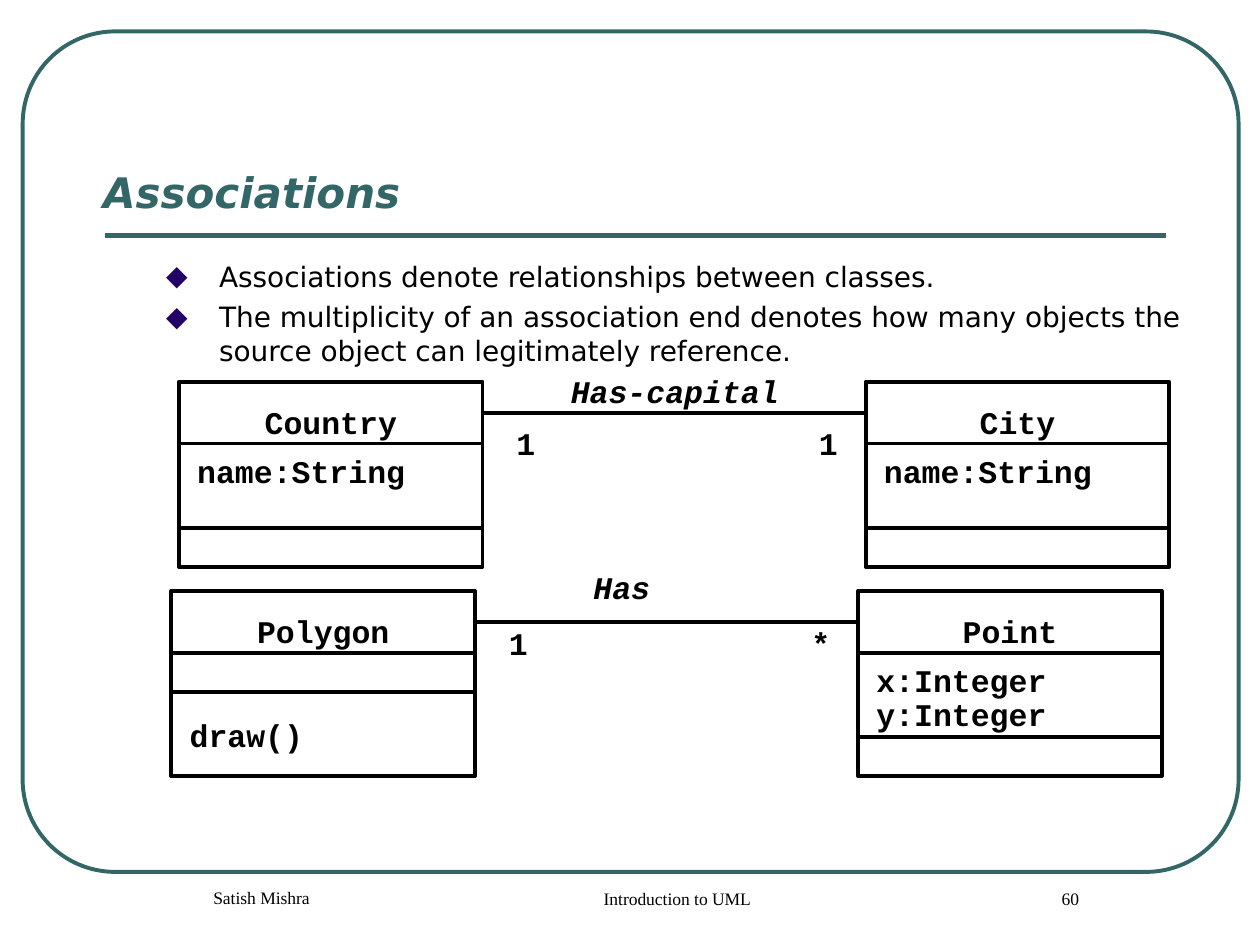
import pptx
import pptx.dml.color
import pptx.enum.shapes
import pptx.enum.text
import pptx.oxml.ns
import pptx.util
import lxml.etree

Align = pptx.enum.text.PP_ALIGN
Anchor = pptx.enum.text.MSO_ANCHOR
Shape = pptx.enum.shapes.MSO_SHAPE
Straight = pptx.enum.shapes.MSO_CONNECTOR.STRAIGHT
TEAL, BLACK, PURPLE = "336666", "000000", "220066"
SANS, MONO, SERIF = "DejaVu Sans", "Courier New", "Times New Roman"
color = pptx.dml.color.RGBColor.from_string

deck = pptx.Presentation()
deck.slide_width = pptx.util.Inches(10)
deck.slide_height = pptx.util.Inches(7.5)
page = deck.slides.add_slide(deck.slide_layouts[6])

# Grid of 100 columns by 75 rows
COLUMN = deck.slide_width // 100
ROW = deck.slide_height // 75


def write(left, top, width, height, lines, size=18, font=MONO, ink=BLACK, bold=True,
          italic=False, align=Align.LEFT, anchor=Anchor.TOP, inset=True, wrap=False):
    box = page.shapes.add_textbox(*[int(n) for n in (
        left * COLUMN, top * ROW, width * COLUMN, height * ROW)])
    frame = box.text_frame
    frame.word_wrap = wrap
    frame.vertical_anchor = anchor
    frame.margin_left = frame.margin_right = COLUMN if inset else 0
    frame.margin_top = frame.margin_bottom = ROW // 2 if inset else 0
    for index, line in enumerate(lines):
        para = frame.paragraphs[0] if index == 0 else frame.add_paragraph()
        para.alignment = align
        span = para.add_run()
        span.text = line
        span.font.size = pptx.util.Pt(size)
        span.font.name = font
        span.font.bold = bold
        span.font.italic = italic
        span.font.color.rgb = color(ink)
    return frame.paragraphs


def connect(x1, y1, x2, y2, ink=BLACK, weight=2.25):
    line = page.shapes.add_connector(Straight, *[int(n) for n in (
        x1 * COLUMN, y1 * ROW, x2 * COLUMN, y2 * ROW)])
    line.line.color.rgb = color(ink)
    line.line.width = pptx.util.Pt(weight)
    lxml.etree.SubElement(line._element.spPr, pptx.oxml.ns.qn("a:effectLst"))
    return line


# Page frame and title rule
border = page.shapes.add_shape(Shape.ROUNDED_RECTANGLE, int(1.8 * COLUMN), int(2.5 * ROW),
                               int(96.5 * COLUMN), int(66.7 * ROW))
border.adjustments[0] = 0.11
border.shadow.inherit = False
border.fill.background()
border.line.color.rgb = color(TEAL)
border.line.width = pptx.util.Pt(2.25)
connect(8.3, 18.7, 92.5, 18.7, TEAL, 3)

# Title
write(7.2, 11.8, 85.2, 5.9, ["Associations"], 24, SANS, TEAL, italic=True,
      anchor=Anchor.BOTTOM, wrap=True)

# Bulleted statements
statements = write(12.2, 20.1, 86.9, 9.5, [
    "Associations denote relationships between classes.",
    "The multiplicity of an association end denotes how many objects the "
    "source object can legitimately reference.",
], 16, SANS, bold=False, wrap=True)
for para in statements:
    props = para._p.get_or_add_pPr()
    props.set("marL", str(int(4.2 * COLUMN)))
    props.set("indent", str(int(-4.2 * COLUMN)))
    tint = lxml.etree.SubElement(props, pptx.oxml.ns.qn("a:buClr"))
    lxml.etree.SubElement(tint, pptx.oxml.ns.qn("a:srgbClr"), val=PURPLE)
    lxml.etree.SubElement(props, pptx.oxml.ns.qn("a:buFont"), typeface=SANS)
    lxml.etree.SubElement(props, pptx.oxml.ns.qn("a:buChar"), char="◆")
statements[1].space_before = pptx.util.Pt(4)

# Class boxes: name, left, top, then height, text and text offset of each compartment
CLASS_WIDTH, HEADER, TALL, SHORT = 24.1, 4.9, 6.7, 3.1
LETTER, TEXT_LINE = 1.5, 3
classes = [
    ("Country", 14.2, 30.3, [(TALL, ["name:String"], 0.7), (SHORT, [], 0)]),
    ("City", 68.7, 30.3, [(TALL, ["name:String"], 0.7), (SHORT, [], 0)]),
    ("Polygon", 13.6, 46.9, [(SHORT, [], 0), (TALL, ["draw()"], 1.9)]),
    ("Point", 68.1, 46.9, [(TALL, ["x:Integer", "y:Integer"], 0.7), (SHORT, [], 0)]),
]
headers = {}
for name, left, top, compartments in classes:
    row = top
    for height, lines, offset in [(HEADER, [name], 1.65)] + compartments:
        cell = page.shapes.add_shape(Shape.RECTANGLE, int(left * COLUMN), int(row * ROW),
                                     int(CLASS_WIDTH * COLUMN), int(height * ROW))
        cell.shadow.inherit = False
        cell.fill.background()
        cell.line.color.rgb = color(BLACK)
        cell.line.width = pptx.util.Pt(2.25)
        is_header = row == top
        if is_header:
            headers[name] = cell
        if lines:
            width = LETTER * max(len(line) for line in lines)
            start = left + (CLASS_WIDTH - width) / 2 if is_header else left + 1.45
            paras = write(start, row + offset, width, TEXT_LINE * len(lines), lines,
                          align=Align.CENTER if is_header else Align.LEFT, inset=False)
            for para in paras[1:]:
                para.line_spacing = 0.9
        row += height

# Associations with the multiplicity at both ends
for source, target, ends, drop in [("Country", "City", "11", 2.9),
                                   ("Polygon", "Point", "1*", 2.1)]:
    link = connect(0, 0, 1, 1)
    link.begin_connect(headers[source], 3)
    link.end_connect(headers[target], 1)
    first = (headers[source].left + headers[source].width) / COLUMN + 1.7
    last = headers[target].left / COLUMN - 4.7
    for left, mark in zip((first, last), ends):
        write(left, headers[source].top / ROW + drop, 3.5, 4, [mark])

# Association names
write(43.5, 29, 20.1, 4, ["Has-capital"], italic=True, align=Align.CENTER, wrap=True)
write(46.1, 44.6, 6.5, 4, ["Has"], italic=True, align=Align.CENTER, anchor=Anchor.MIDDLE)

# Footer
for left, top, width, label in [(8.3, 69.9, 22.5, "Satish Mishra"),
                                (36.7, 70, 31.7, "Introduction to UML"),
                                (75, 70, 17.5, "60")]:
    footer = write(left, top, width, 5, [label], 10, SERIF, bold=False,
                   align=Align.CENTER, wrap=True)
    footer[0]._p.get_or_add_pPr().set("marL", str(int(2.4 * COLUMN)))

deck.save("out.pptx")
